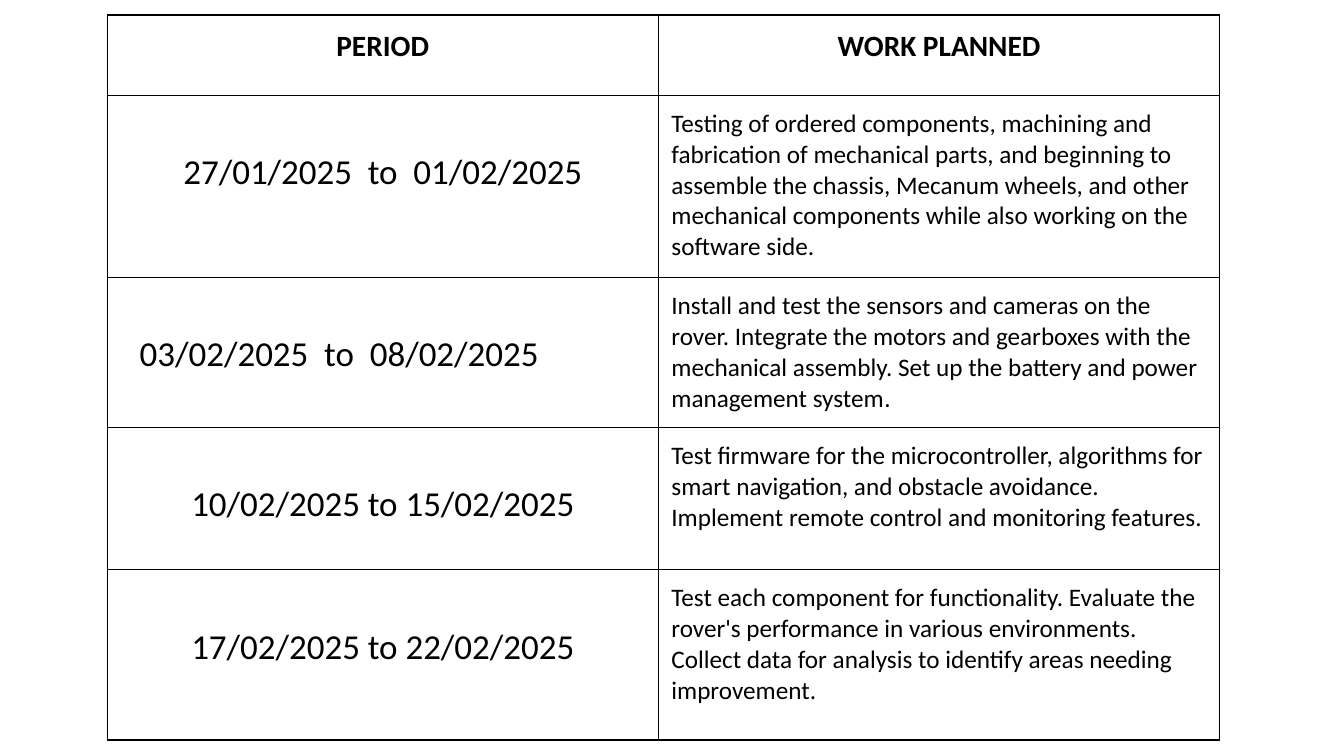
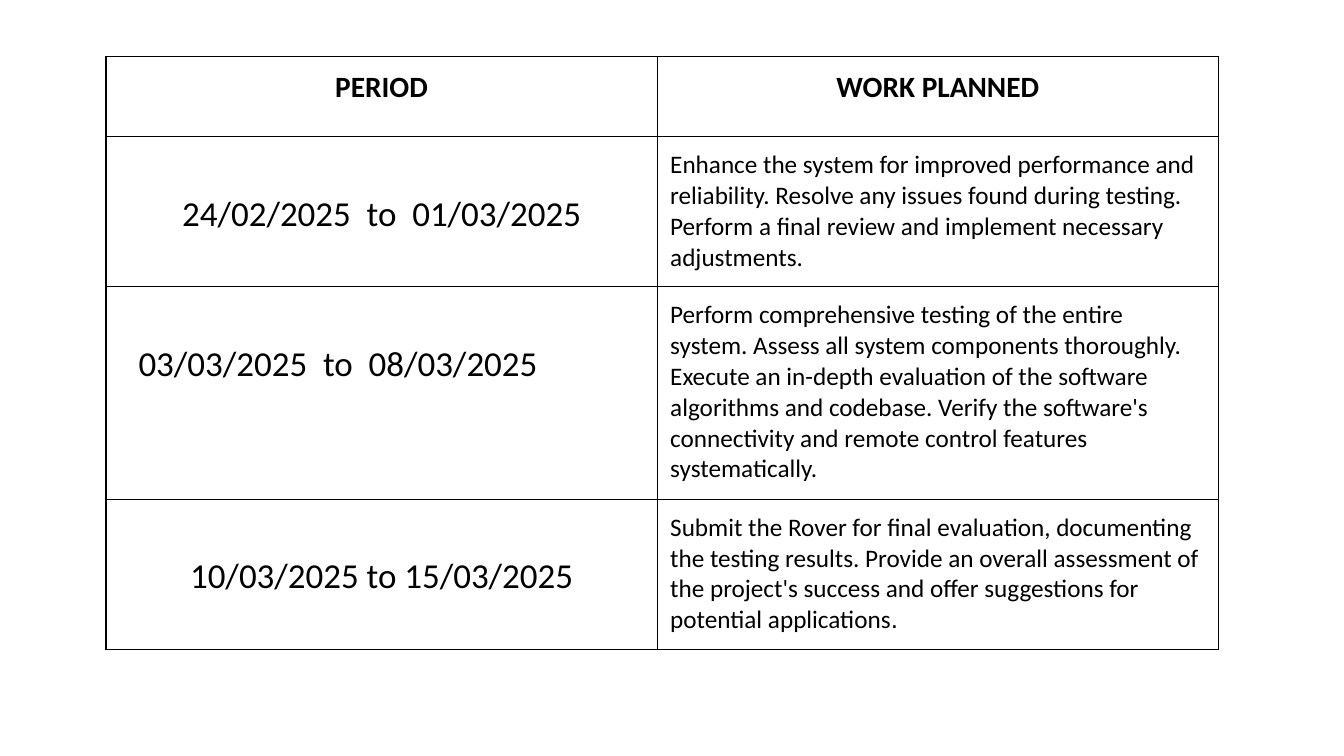
from lxml import etree
from pptx import Presentation
from pptx.dml.color import RGBColor
from pptx.enum.text import MSO_ANCHOR, PP_ALIGN
from pptx.oxml.ns import qn
from pptx.util import Cm, Pt

CENTER, LEFT = PP_ALIGN.CENTER, PP_ALIGN.LEFT
TOP = MSO_ANCHOR.TOP

COLORS = {"text": "000000", "border": "000000"}
FONT, STOP_FONT = "Calibri", "Arial"
HEADER_SIZE, PERIOD_SIZE, WORK_SIZE, STOP_SIZE = 21, 25, 18, 18.7

# Lengths in centimetres
COLUMN_WIDTHS = (13.89, 14.15)
HEADER_HEIGHT = 2.03
MARGIN = 0.33
PERIOD_TOP = 1.41
PERIOD_SHIFT = 2.2
BORDER_POINTS = 1

HEADERS = ("PERIOD", "WORK PLANNED")

# Each row: height, period, planned work, whether the period sits to the left
JANUARY_PLAN = [
    (4.59, "27/01/2025  to  01/02/2025",
     "Testing of ordered components, machining and fabrication of mechanical parts, "
     "and beginning to assemble the chassis, Mecanum wheels, and other mechanical "
     "components while also working on the software side.", False),
    (3.78, "03/02/2025  to  08/02/2025",
     "Install and test the sensors and cameras on the rover. Integrate the motors and "
     "gearboxes with the mechanical assembly. Set up the battery and power "
     "management system.", True),
    (3.58, "10/02/2025 to 15/02/2025",
     "Test firmware for the microcontroller, algorithms for smart navigation, and "
     "obstacle avoidance. Implement remote control and monitoring features.", False),
    (4.29, "17/02/2025 to 22/02/2025",
     "Test each component for functionality. Evaluate the rover's performance in "
     "various environments. Collect data for analysis to identify areas needing "
     "improvement.", False),
]
FEBRUARY_PLAN = [
    (3.78, "24/02/2025  to  01/03/2025",
     "Enhance the system for improved performance and reliability. Resolve any issues "
     "found during testing. Perform a final review and implement necessary "
     "adjustments.", False),
    (5.35, "03/03/2025  to  08/03/2025",
     "Perform comprehensive testing of the entire system. Assess all system components "
     "thoroughly. Execute an in-depth evaluation of the software algorithms and "
     "codebase. Verify the software's connectivity and remote control features "
     "systematically.", True),
    (3.78, "10/03/2025 to 15/03/2025",
     "Submit the Rover for final evaluation, documenting the testing results. Provide "
     "an overall assessment of the project's success and offer suggestions for "
     "potential applications.", False),
]
# Work texts whose full stop is set in the second font
ARIAL_STOP_ENDINGS = ("management system.", "potential applications.")


def add_run(paragraph, text, size, font=FONT, bold=False):
    run = paragraph.add_run()
    run.text = text
    run.font.name = font
    run.font.size = Pt(size)
    run.font.bold = bold
    run.font.color.rgb = RGBColor.from_string(COLORS["text"])


def add_borders(cell):
    properties = cell._tc.get_or_add_tcPr()
    for side in ("lnL", "lnR", "lnT", "lnB"):
        line = etree.SubElement(properties, qn(f"a:{side}"), w=str(Pt(BORDER_POINTS)))
        fill = etree.SubElement(line, qn("a:solidFill"))
        etree.SubElement(fill, qn("a:srgbClr"), val=COLORS["border"])


def write_cell(cell, text, size, align=LEFT, bold=False, top=MARGIN, right=MARGIN):
    add_borders(cell)
    cell.fill.background()
    cell.vertical_anchor = TOP
    cell.margin_left = cell.margin_bottom = Cm(MARGIN)
    cell.margin_top, cell.margin_right = Cm(top), Cm(right)
    paragraph = cell.text_frame.paragraphs[0]
    paragraph.alignment = align
    if text.endswith(ARIAL_STOP_ENDINGS):
        add_run(paragraph, text[:-1], size, bold=bold)
        add_run(paragraph, text[-1], STOP_SIZE, font=STOP_FONT, bold=bold)
    else:
        add_run(paragraph, text, size, bold=bold)


def add_plan_table(slide, left, top, plan):
    heights = [HEADER_HEIGHT] + [row[0] for row in plan]
    frame = slide.shapes.add_table(len(heights), len(HEADERS), Cm(left), Cm(top),
                                   Cm(sum(COLUMN_WIDTHS)), Cm(sum(heights)))
    table = frame.table
    table.first_row = table.horz_banding = False
    for column, width in zip(table.columns, COLUMN_WIDTHS):
        column.width = Cm(width)
    for row, height in zip(table.rows, heights):
        row.height = Cm(height)

    # Header row
    for index, header in enumerate(HEADERS):
        write_cell(table.cell(0, index), header, HEADER_SIZE, CENTER, bold=True)

    # One row for each week
    for index, (_, period, work, shifted) in enumerate(plan, start=1):
        right = MARGIN + (PERIOD_SHIFT if shifted else 0)
        write_cell(table.cell(index, 0), period, PERIOD_SIZE, CENTER,
                   top=PERIOD_TOP, right=right)
        write_cell(table.cell(index, 1), work, WORK_SIZE)


def main():
    presentation = Presentation()
    presentation.slide_width, presentation.slide_height = Cm(33.87), Cm(19.05)
    blank = presentation.slide_layouts[6]
    for left, top, plan in ((2.7, 0.38, JANUARY_PLAN), (2.67, 1.42, FEBRUARY_PLAN)):
        add_plan_table(presentation.slides.add_slide(blank), left, top, plan)
    presentation.save("out.pptx")


if __name__ == "__main__":
    main()
